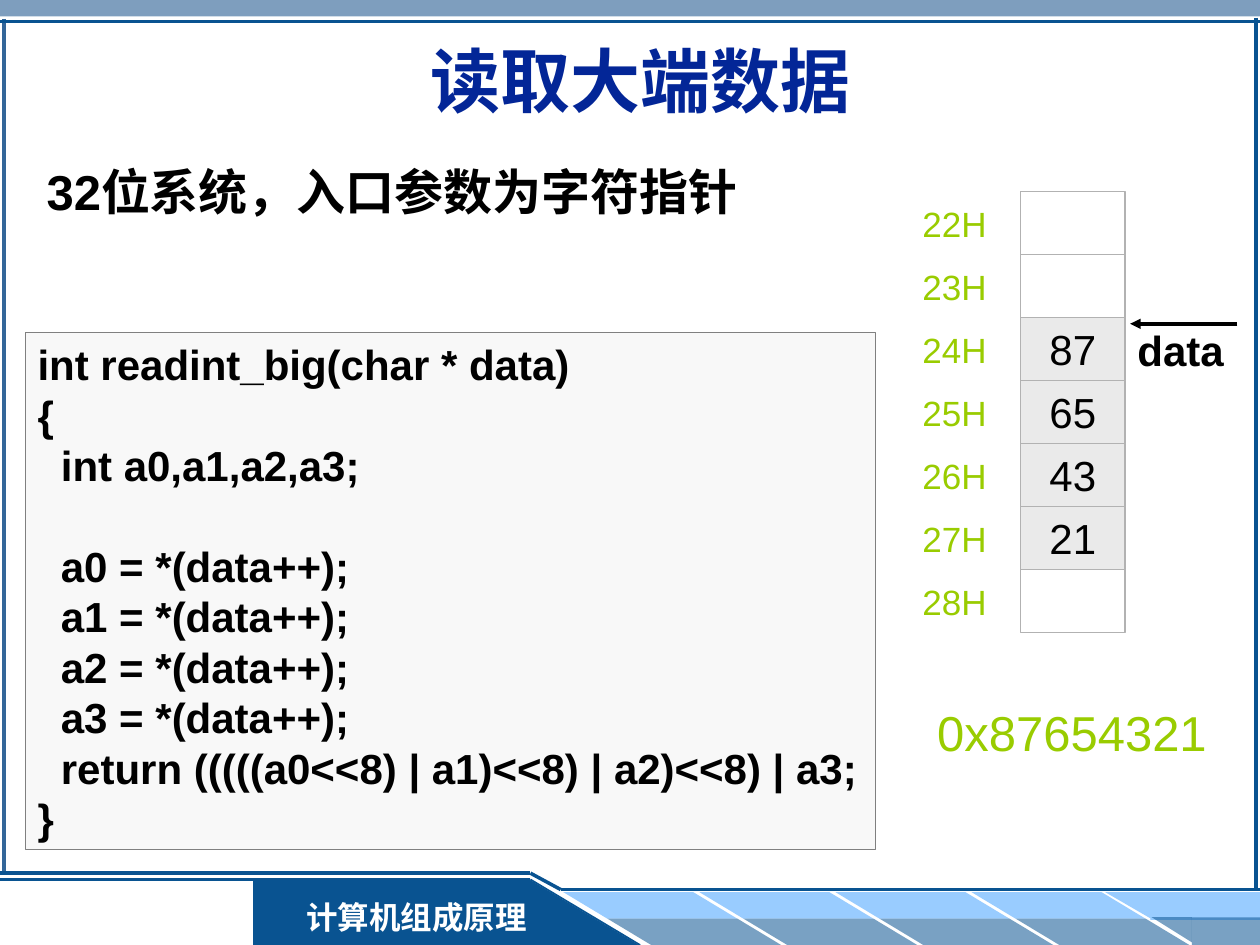
"""Build the slide on reading big-endian data."""
from typing import NamedTuple, Optional

from lxml.etree import SubElement
from pptx import Presentation
from pptx.dml.color import RGBColor
from pptx.enum.shapes import MSO_CONNECTOR, MSO_SHAPE as Preset
from pptx.enum.text import MSO_ANCHOR as Anchor, PP_ALIGN as Align
from pptx.oxml.ns import qn
from pptx.util import Inches, Pt

STEEL = RGBColor(0x33, 0x66, 0x99)
NAVY = RGBColor(0x09, 0x53, 0x91)
SKY = RGBColor(0x99, 0xCC, 0xFF)
TITLE_BLUE = RGBColor(0x03, 0x26, 0x97)
LIME = RGBColor(0x99, 0xCC, 0x00)
BLACK = RGBColor(0, 0, 0)
WHITE = RGBColor(0xFF, 0xFF, 0xFF)
CODE_FILL = RGBColor(0xF8, 0xF8, 0xF8)
CODE_EDGE = RGBColor(0x80, 0x80, 0x80)
CELL_FILL = RGBColor(0xEA, 0xEA, 0xEA)
CELL_EDGE = RGBColor(0xB2, 0xB2, 0xB2)


class Box(NamedTuple):
    left: float
    top: float
    width: float
    height: float

    def lengths(self) -> list:
        return [Inches(value) for value in self]


class Style(NamedTuple):
    size: float
    color: RGBColor = BLACK
    bold: bool = False
    align: Align = Align.LEFT
    anchor: Anchor = Anchor.TOP
    font: str = "Arial"
    wrap: bool = False


class Panel(NamedTuple):
    box: Box
    fill: Optional[RGBColor]
    opacity: int = 100
    preset: Preset = Preset.RECTANGLE
    flip: str = ""
    skew: Optional[float] = None
    edge: Optional[RGBColor] = None


class Rule(NamedTuple):
    x1: float
    y1: float
    x2: float
    y2: float
    color: RGBColor = NAVY
    width: float = 2


class MemoryByte(NamedTuple):
    address: str
    value: str = ""


CODE = """int readint_big(char * data)
{
  int a0,a1,a2,a3;
    
  a0 = *(data++);
  a1 = *(data++);
  a2 = *(data++);
  a3 = *(data++);
  return (((((a0<<8) | a1)<<8) | a2)<<8) | a3;
}"""

MEMORY = [MemoryByte("22H"), MemoryByte("23H"), MemoryByte("24H", "87"),
          MemoryByte("25H", "65"), MemoryByte("26H", "43"),
          MemoryByte("27H", "21"), MemoryByte("28H")]


def write(shape, text: str, style: Style) -> None:
    frame = shape.text_frame
    frame.text = text
    frame.word_wrap = style.wrap
    frame.vertical_anchor = style.anchor
    for paragraph in frame.paragraphs:
        paragraph.alignment = style.align
        paragraph.space_before = Pt(0)
        for run in paragraph.runs:
            run.font.name = style.font
            run.font.size = Pt(style.size)
            run.font.bold = style.bold
            run.font.color.rgb = style.color


def draw_panel(slide, panel: Panel):
    shape = slide.shapes.add_shape(panel.preset, *panel.box.lengths())
    shape.shadow.inherit = False
    if panel.skew is not None:
        shape.adjustments[0] = panel.skew
    for axis in panel.flip:
        shape.element.spPr.xfrm.set(f"flip{axis}", "1")
    if panel.fill is None:
        shape.fill.background()
    else:
        shape.fill.solid()
        shape.fill.fore_color.rgb = panel.fill
        if panel.opacity < 100:
            color = shape.element.spPr.find(".//" + qn("a:srgbClr"))
            SubElement(color, qn("a:alpha"), val=str(panel.opacity * 1000))
    if panel.edge is None:
        shape.line.fill.background()
    else:
        shape.line.color.rgb = panel.edge
        shape.line.width = Pt(0.75)
    return shape


def draw_rule(slide, rule: Rule, arrow: bool = False) -> None:
    ends = [Inches(value) for value in rule[:4]]
    connector = slide.shapes.add_connector(MSO_CONNECTOR.STRAIGHT, *ends)
    connector.line.color.rgb = rule.color
    connector.line.width = Pt(rule.width)
    properties = connector.element.spPr
    if arrow:
        SubElement(properties.get_or_add_ln(), qn("a:tailEnd"), type="triangle")
    SubElement(properties, qn("a:effectLst"))


def draw_label(slide, box: Box, text: str, style: Style) -> None:
    write(slide.shapes.add_textbox(*box.lengths()), text, style)


def draw_frame(slide) -> None:
    draw_panel(slide, Panel(Box(0, 0, 10, 0.13), STEEL, 63))
    draw_panel(slide, Panel(Box(2.01, 6.98, 2.2, 0.52), NAVY))
    for index in range(4):
        left = 4.47 + 1.08 * index
        for box, color, opacity in ((Box(left, 7.08, 1.38, 0.21), SKY, 100),
                                    (Box(left + 0.35, 7.29, 1.38, 0.21), NAVY, 54)):
            draw_panel(slide, Panel(box, color, opacity, Preset.PARALLELOGRAM, "H", 1.66))
    for panel in (
        Panel(Box(9.13, 7.08, 0.87, 0.22), SKY),
        Panel(Box(8.77, 7.08, 0.38, 0.22), SKY, 100, Preset.RIGHT_TRIANGLE, "HV"),
        Panel(Box(9.46, 7.28, 0.54, 0.22), NAVY, 54),
        Panel(Box(9.14, 7.28, 0.32, 0.2), NAVY, 54, Preset.RIGHT_TRIANGLE, "HV"),
        Panel(Box(4.2, 6.98, 0.87, 0.52), NAVY, 100, Preset.RIGHT_TRIANGLE),
    ):
        draw_panel(slide, panel)
    for rule in (
        Rule(0.03, 0.15, 0.03, 6.93, STEEL),
        Rule(5.08, 7.5, 4.21, 6.98, width=1),
        Rule(4.21, 6.98, 0, 6.98, width=1.5),
        Rule(0, 6.93, 4.21, 6.93),
        Rule(4.21, 6.93, 4.45, 7.06),
        Rule(4.45, 7.06, 10, 7.06),
        Rule(0, 0.17, 10, 0.17),
        Rule(9.97, 0.14, 9.97, 7.07),
    ):
        draw_rule(slide, rule)
    course = draw_panel(slide, Panel(Box(2.28, 7.08, 2.05, 0.4), NAVY))
    write(course, "计算机组成原理",
          Style(18, WHITE, True, Align.CENTER, Anchor.MIDDLE, "Times New Roman", True))


def fill_placeholder(placeholder, box: Box, text: str, style: Style) -> None:
    placeholder.left, placeholder.top, placeholder.width, placeholder.height = box.lengths()
    write(placeholder, text, style)


def draw_memory(slide) -> None:
    for row, byte in enumerate(MEMORY):
        top = 1.52 + 0.5 * row
        cell = draw_panel(slide, Panel(Box(8.1, top, 0.83, 0.5),
                                       CELL_FILL if byte.value else None, edge=CELL_EDGE))
        if byte.value:
            write(cell, byte.value, Style(24, align=Align.CENTER, anchor=Anchor.MIDDLE))
        draw_label(slide, Box(7.1, top, 0.83, 0.5), byte.address,
                   Style(20, LIME, align=Align.RIGHT, anchor=Anchor.MIDDLE))
    draw_label(slide, Box(8.89, 2.53, 0.96, 0.5), "data",
               Style(24, bold=True, align=Align.CENTER))
    draw_rule(slide, Rule(9.82, 2.57, 8.97, 2.57, BLACK), arrow=True)


def main() -> None:
    deck = Presentation()
    deck.slide_width, deck.slide_height = Inches(10), Inches(7.5)
    slide = deck.slides.add_slide(deck.slide_layouts[1])
    draw_frame(slide)
    fill_placeholder(slide.shapes.title, Box(0.35, 0.28, 9.47, 0.71), "读取大端数据",
                     Style(40, TITLE_BLUE, True, Align.CENTER, Anchor.MIDDLE, wrap=True))
    premise = slide.placeholders[1]
    fill_placeholder(premise, Box(0.27, 1.23, 9.53, 0.77), "32位系统，入口参数为字符指针",
                     Style(28, bold=True, wrap=True))
    properties = premise.text_frame.paragraphs[0]._p.get_or_add_pPr()
    properties.set("marL", str(Inches(0.49)))
    properties.set("indent", str(Inches(-0.49)))
    SubElement(properties, qn("a:buNone"))
    draw_label(slide, Box(7.34, 5.53, 2.34, 0.57), "0x87654321", Style(28, LIME))
    listing = draw_panel(slide, Panel(Box(0.2, 2.64, 6.75, 4.1), CODE_FILL, edge=CODE_EDGE))
    write(listing, CODE, Style(24, bold=True, wrap=True))
    draw_memory(slide)
    deck.save("out.pptx")


if __name__ == "__main__":
    main()
